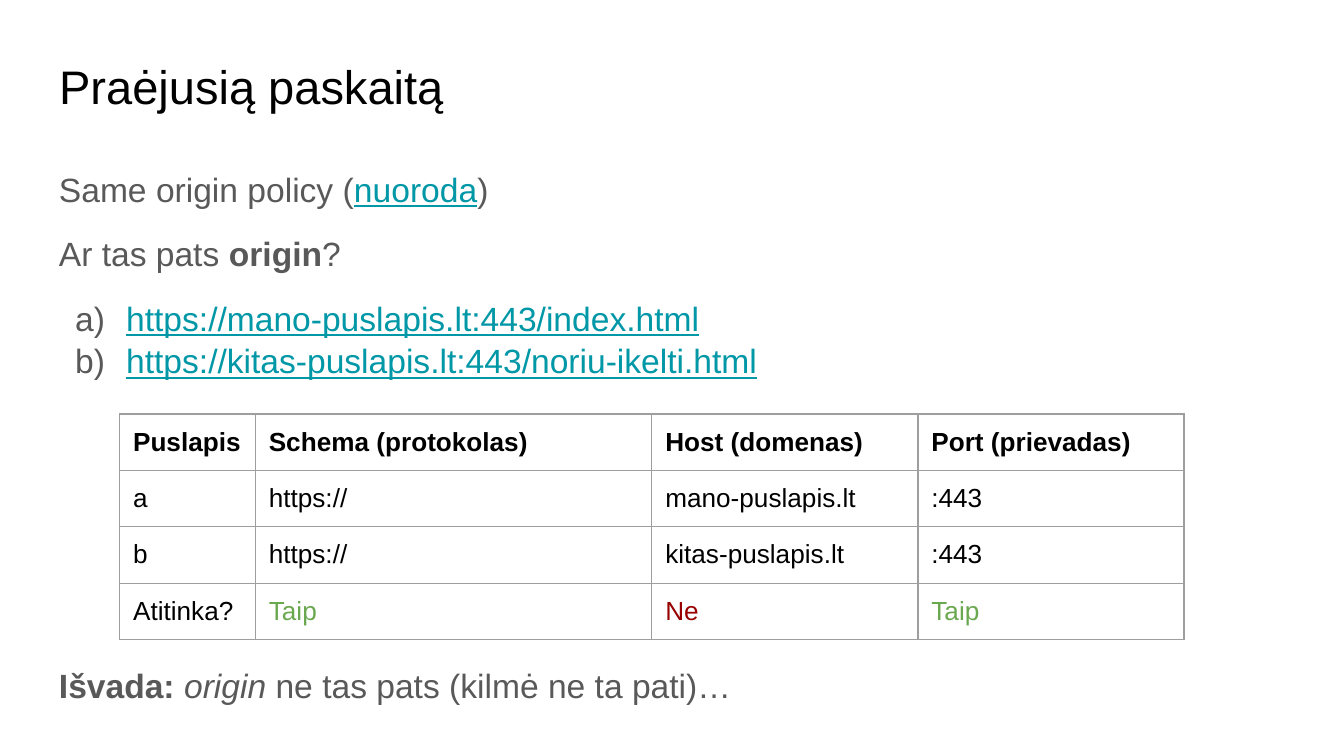
from lxml.etree import SubElement
from pptx import Presentation
from pptx.dml.color import RGBColor
from pptx.enum.text import MSO_ANCHOR, MSO_AUTO_SIZE, PP_ALIGN
from pptx.oxml import parse_xml
from pptx.oxml.ns import nsdecls, qn
from pptx.util import Inches, Pt

COLORS = {"ink": "000000", "body": "595959", "link": "0097A7",
          "yes": "6AA84F", "no": "980000", "border": "9E9E9E"}
FONT = "Arial"
TITLE = "Praėjusią paskaitą"
BODY = [
    {"runs": [("Same origin policy (", ""), ("nuoroda", "link"), (")", "")]},
    {"runs": [("Ar tas pats ", ""), ("origin", "bold"), ("?", "")], "before": 12},
    {"runs": [("https://mano-puslapis.lt:443/index.html", "link")], "before": 12, "listed": True},
    {"runs": [("https://kitas-puslapis.lt:443/noriu-ikelti.html", "link")], "listed": True},
    {"runs": [("Išvada: ", "bold"), ("origin", "italic"),
              (" ne tas pats (kilmė ne ta pati)…", "")], "before": 151},
]
ORIGINS = [
    ["Puslapis", "Schema (protokolas)", "Host (domenas)", "Port (prievadas)"],
    ["a", "https://", "mano-puslapis.lt", ":443"],
    ["b", "https://", "kitas-puslapis.lt", ":443"],
    ["Atitinka?", "Taip", "Ne", "Taip"],
]
ANSWER_COLORS = {"Taip": "yes", "Ne": "no"}
COLUMN_WIDTHS = [1.01, 2.95, 1.98, 1.98]
ROW_HEIGHT = 0.42


def add_run(paragraph, text, size, color, style=""):
    """Append one formatted run."""
    run = paragraph.add_run()
    run.text = text
    font = run.font
    font.name, font.size = FONT, Pt(size)
    font.color.rgb = RGBColor.from_string(COLORS[color])
    font.bold = style == "bold"
    font.italic = style == "italic"
    font.underline = style == "link"


def prepare_frame(frame):
    """Set wrapping, anchor and insets."""
    frame.word_wrap = True
    frame.auto_size = MSO_AUTO_SIZE.NONE
    frame.vertical_anchor = MSO_ANCHOR.TOP
    frame.margin_left = frame.margin_right = Inches(0.1)
    frame.margin_top = frame.margin_bottom = Inches(0.1)


def add_letter(paragraph):
    """Number a paragraph with a letter and a hanging indent."""
    properties = paragraph._p.get_or_add_pPr()
    properties.set("marL", str(Inches(0.5)))
    properties.set("indent", str(-Inches(0.38)))
    color = SubElement(properties, qn("a:buClr"))
    SubElement(color, qn("a:srgbClr")).set("val", COLORS["body"])
    SubElement(properties, qn("a:buAutoNum")).set("type", "alphaLcParenR")


def add_borders(cell):
    """Draw a thin line on all four sides of a cell."""
    properties = cell._tc.get_or_add_tcPr()
    for index, side in enumerate(("lnL", "lnR", "lnT", "lnB")):
        properties.insert(index, parse_xml(
            f'<a:{side} {nsdecls("a")} w="{Pt(0.75)}"><a:solidFill>'
            f'<a:srgbClr val="{COLORS["border"]}"/></a:solidFill></a:{side}>'))


def add_title(slide):
    """Place and fill the title."""
    title = slide.shapes.title
    title.left, title.top = Inches(0.34), Inches(0.33)
    title.width, title.height = Inches(9.32), Inches(0.63)
    prepare_frame(title.text_frame)
    paragraph = title.text_frame.paragraphs[0]
    paragraph.alignment = PP_ALIGN.LEFT
    add_run(paragraph, TITLE, 25.2, "ink")


def add_body(slide):
    """Write the text above and below the table."""
    box = slide.shapes.add_textbox(Inches(0.34), Inches(1.14), Inches(8.95), Inches(4.2))
    frame = box.text_frame
    prepare_frame(frame)
    for index, item in enumerate(BODY):
        paragraph = frame.add_paragraph() if index else frame.paragraphs[0]
        paragraph.line_spacing = 1.05
        paragraph.space_before = Pt(item.get("before", 0))
        if item.get("listed"):
            add_letter(paragraph)
        for text, style in item["runs"]:
            add_run(paragraph, text, 18, "link" if style == "link" else "body", style)


def add_origin_table(slide):
    """Compare the two origins in a table."""
    table = slide.shapes.add_table(
        len(ORIGINS), len(COLUMN_WIDTHS), Inches(0.89), Inches(3.08),
        Inches(sum(COLUMN_WIDTHS)), Inches(ROW_HEIGHT * len(ORIGINS))).table
    table.first_row = table.horz_banding = False
    for column, width in zip(table.columns, COLUMN_WIDTHS):
        column.width = Inches(width)
    for row_index, texts in enumerate(ORIGINS):
        table.rows[row_index].height = Inches(ROW_HEIGHT)
        for column_index, text in enumerate(texts):
            cell = table.cell(row_index, column_index)
            cell.margin_left = cell.margin_right = Inches(0.1)
            cell.margin_top = cell.margin_bottom = Inches(0.1)
            cell.fill.background()
            add_borders(cell)
            add_run(cell.text_frame.paragraphs[0], text, 14,
                    ANSWER_COLORS.get(text, "ink"), "" if row_index else "bold")


presentation = Presentation()
presentation.slide_width = Inches(10)
presentation.slide_height = presentation.slide_width * 9 // 16
slide = presentation.slides.add_slide(presentation.slide_layouts[5])
add_title(slide)
add_body(slide)
add_origin_table(slide)
presentation.save("out.pptx")
